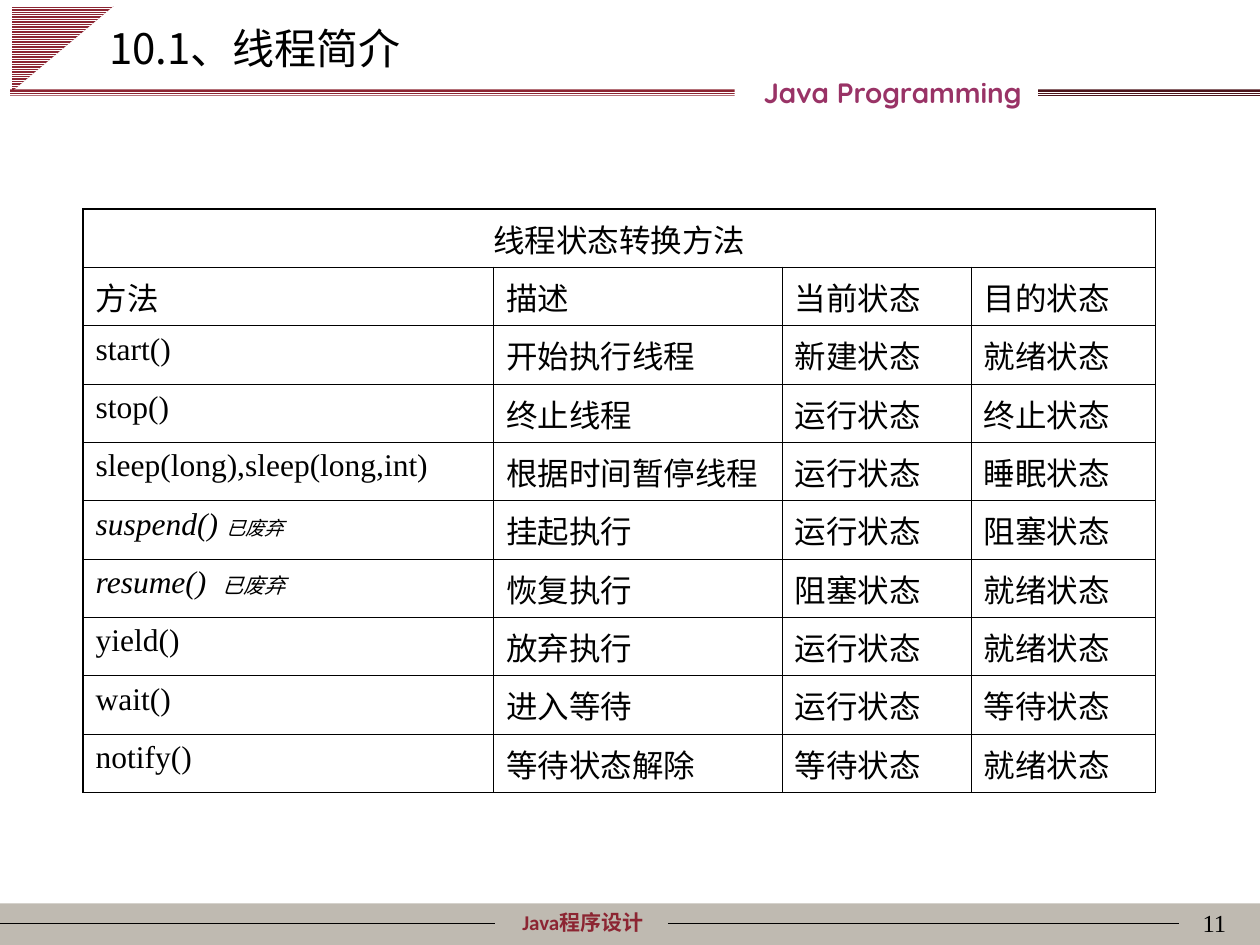
from typing import NamedTuple

from lxml.etree import SubElement
from pptx import Presentation
from pptx.dml.color import RGBColor
from pptx.enum.dml import MSO_PATTERN as Pattern
from pptx.enum.shapes import MSO_CONNECTOR as Connector, MSO_SHAPE as Shape
from pptx.enum.text import PP_ALIGN as Align
from pptx.oxml import parse_xml
from pptx.oxml.ns import nsdecls, qn
from pptx.util import Inches, Pt

MAROON = "8C2532"
BLACK = "000000"
WHITE = "FFFFFF"
SERIF = "Times New Roman"
CHINESE = "Noto Sans CJK SC"


class Frame(NamedTuple):
    left: float
    top: float
    width: float
    height: float


class Span(NamedTuple):
    text: str
    size: float = 18
    font: str = SERIF
    color: str = BLACK
    bold: bool = False
    italic: bool = False


class Label(NamedTuple):
    frame: Frame
    align: Align
    span: Span


class Stripe(NamedTuple):
    shape: Shape
    frame: Frame
    color: str
    rotation: float = 0


class Rule(NamedTuple):
    start: float
    end: float


STRIPES = [
    Stripe(Shape.RIGHT_TRIANGLE, Frame(0.16, -0.02, 0.68, 0.81), MAROON, 90),
    Stripe(Shape.RECTANGLE, Frame(8.24, 0.71, 1.76, 0.06), "4C141B"),
    Stripe(Shape.RECTANGLE, Frame(0.08, 0.71, 5.75, 0.05), MAROON),
]
FOOTER_RULES = [Rule(0, 3.93), Rule(5.3, 9.36)]
LABELS = [
    Label(Frame(3.62, 7.17, 2.01, 0.3), Align.CENTER,
          Span("Java程序设计", 12, "Calibri", MAROON, bold=True)),
    Label(Frame(5.08, 0.55, 4.01, 0.37), Align.CENTER,
          Span("Java Programming", 16, "Quicksand", "993366", bold=True)),
    Label(Frame(7.75, 7.16, 2.08, 0.5), Align.RIGHT, Span("11", 14)),
    Label(Frame(0.77, 0.13, 8.5, 0.5), Align.LEFT,
          Span("10.1、线程简介", 24, CHINESE)),
]
TABLE_FRAME = Frame(0.66, 1.66, 8.5, 4.63)
COLUMN_WIDTHS = [3.26, 2.29, 1.5, 1.46]
TABLE_TITLE = "线程状态转换方法"
METHODS = [
    ("方法", "描述", "当前状态", "目的状态"),
    ("start()", "开始执行线程", "新建状态", "就绪状态"),
    ("stop()", "终止线程", "运行状态", "终止状态"),
    ("sleep(long),sleep(long,int)", "根据时间暂停线程", "运行状态", "睡眠状态"),
    ("suspend() ", "挂起执行", "运行状态", "阻塞状态"),
    ("resume()  ", "恢复执行", "阻塞状态", "就绪状态"),
    ("yield()", "放弃执行", "运行状态", "就绪状态"),
    ("wait()", "进入等待", "运行状态", "等待状态"),
    ("notify()", "等待状态解除", "等待状态", "就绪状态"),
]
DEPRECATED_SIZES = {"suspend() ": 11, "resume()  ": 12}
HEAVY_ROW_LINES = {0, 1}
HEAVY_COLUMN_LINES = {0, len(COLUMN_WIDTHS)}


def rgb(color: str) -> RGBColor:
    return RGBColor.from_string(color)


def inches(frame: Frame) -> list[Inches]:
    return [Inches(length) for length in frame]


def add_span(para, span: Span) -> None:
    run = para.add_run()
    run.text = span.text
    font = run.font
    font.name = span.font
    font.size = Pt(span.size)
    font.bold = span.bold
    font.italic = span.italic
    font.color.rgb = rgb(span.color)
    SubElement(run._r.get_or_add_rPr(), qn("a:ea"), typeface=CHINESE)


def add_label(page, label: Label) -> None:
    box = page.shapes.add_textbox(*inches(label.frame))
    box.text_frame.word_wrap = True
    para = box.text_frame.paragraphs[0]
    para.alignment = label.align
    add_span(para, label.span)


def add_plain_shape(page, shape: Shape, frame: Frame):
    figure = page.shapes.add_shape(shape, *inches(frame))
    figure.shadow.inherit = False
    figure.line.fill.background()
    return figure


def add_stripe(page, stripe: Stripe) -> None:
    figure = add_plain_shape(page, stripe.shape, stripe.frame)
    figure.rotation = stripe.rotation
    figure.fill.patterned()
    figure.fill.pattern = Pattern.LIGHT_HORIZONTAL
    figure.fill.fore_color.rgb = rgb(WHITE)
    figure.fill.back_color.rgb = rgb(stripe.color)


def add_footer_rule(page, rule: Rule) -> None:
    height = Inches(7.33)
    line = page.shapes.add_connector(
        Connector.STRAIGHT, Inches(rule.start), height, Inches(rule.end), height)
    line.line.color.rgb = rgb(BLACK)
    line.line.width = Pt(0.75)
    SubElement(line._element.spPr, qn("a:effectLst"))


def set_borders(cell, row: int, column: int) -> None:
    properties = cell._tc.get_or_add_tcPr()
    heavy = {
        "L": column in HEAVY_COLUMN_LINES,
        "R": column + 1 in HEAVY_COLUMN_LINES,
        "T": row in HEAVY_ROW_LINES,
        "B": row + 1 in HEAVY_ROW_LINES,
    }
    for index, (side, is_heavy) in enumerate(heavy.items()):
        width = Pt(1 if is_heavy else 0.75)
        properties.insert(index, parse_xml(
            f'<a:ln{side} {nsdecls("a")} w="{width}"><a:solidFill>'
            f'<a:srgbClr val="{BLACK}"/></a:solidFill></a:ln{side}>'))


def method_spans(text: str) -> list[Span]:
    if text not in DEPRECATED_SIZES:
        return [Span(text)]
    return [Span(text, italic=True),
            Span("已废弃", DEPRECATED_SIZES[text], italic=True)]


def add_method_table(page) -> None:
    table = page.shapes.add_table(
        len(METHODS) + 1, len(COLUMN_WIDTHS), *inches(TABLE_FRAME)).table
    table.first_row = False
    table.horz_banding = False
    for column, width in zip(table.columns, COLUMN_WIDTHS):
        column.width = Inches(width)
    for row in range(len(METHODS) + 1):
        for column in range(len(COLUMN_WIDTHS)):
            cell = table.cell(row, column)
            cell.fill.background()
            set_borders(cell, row, column)
            if row:
                for span in method_spans(METHODS[row - 1][column]):
                    add_span(cell.text_frame.paragraphs[0], span)
    title = table.cell(0, 0)
    title.merge(table.cell(0, len(COLUMN_WIDTHS) - 1))
    para = title.text_frame.paragraphs[0]
    para.alignment = Align.CENTER
    add_span(para, Span(TABLE_TITLE))


def main() -> None:
    deck = Presentation()
    deck.slide_width, deck.slide_height = Inches(10), Inches(7.5)
    page = deck.slides.add_slide(deck.slide_layouts[6])
    footer = add_plain_shape(page, Shape.RECTANGLE, Frame(0, 7.17, 10, 0.33))
    footer.fill.solid()
    footer.fill.fore_color.rgb = rgb("BFBAB1")
    for rule in FOOTER_RULES:
        add_footer_rule(page, rule)
    for stripe in STRIPES:
        add_stripe(page, stripe)
    for label in LABELS:
        add_label(page, label)
    add_method_table(page)
    deck.save("out.pptx")


if __name__ == "__main__":
    main()
